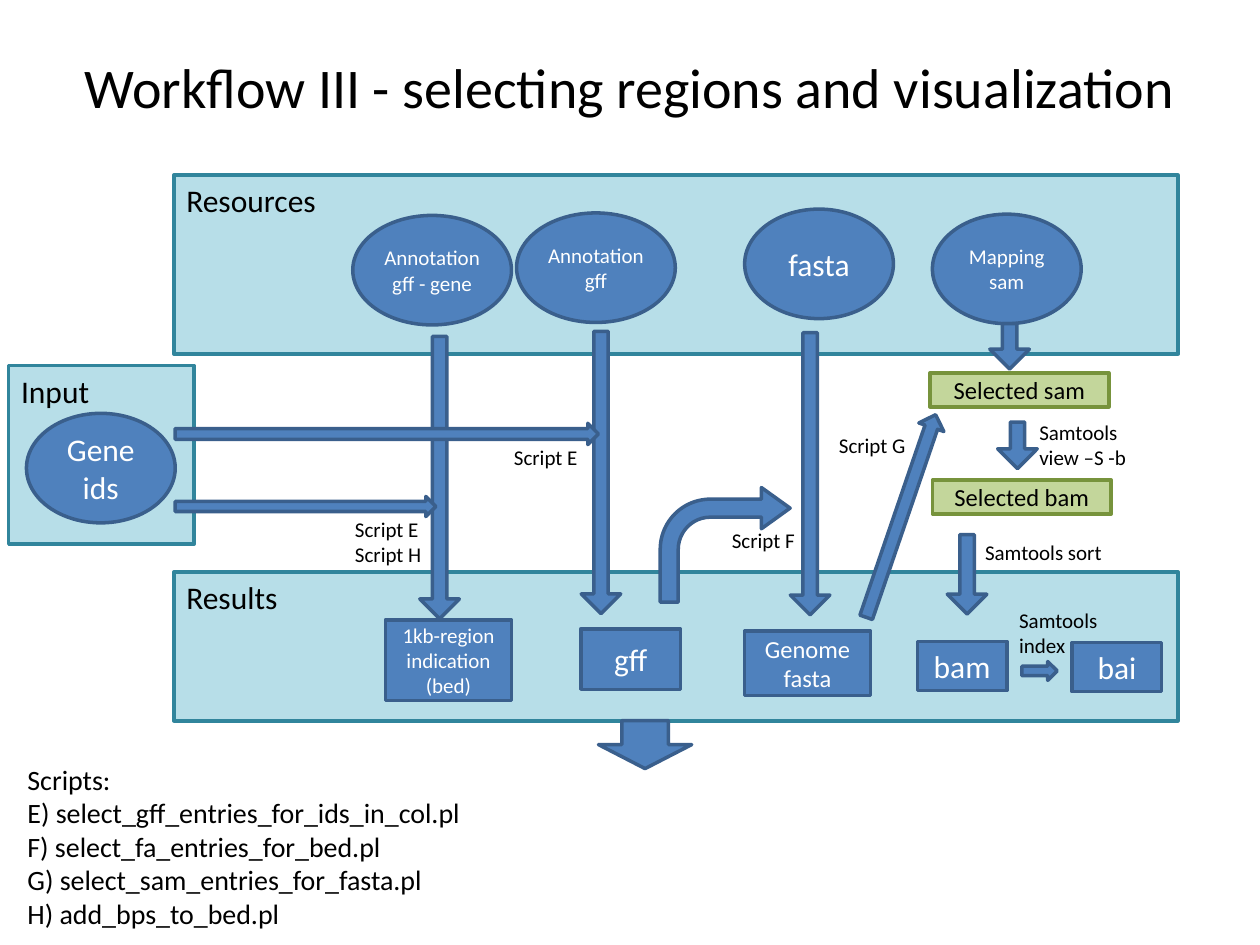
from pptx import Presentation
from pptx.dml.color import RGBColor
from pptx.enum.shapes import MSO_SHAPE
from pptx.enum.text import MSO_ANCHOR, PP_ALIGN
from pptx.util import Pt

BLACK = RGBColor(0, 0, 0)
WHITE = RGBColor(0xFF, 0xFF, 0xFF)
BLUE, BLUE_EDGE = RGBColor(0x4F, 0x81, 0xBD), RGBColor(0x3A, 0x5F, 0x8C)
AQUA, AQUA_EDGE = RGBColor(0xB7, 0xDE, 0xE8), RGBColor(0x31, 0x85, 0x9C)
GREEN, GREEN_EDGE = RGBColor(0xC3, 0xD6, 0x9B), RGBColor(0x77, 0x93, 0x3C)

OVAL, RECT = MSO_SHAPE.OVAL, MSO_SHAPE.RECTANGLE
RIGHT, DOWN = MSO_SHAPE.RIGHT_ARROW, MSO_SHAPE.DOWN_ARROW

TITLE = "Workflow III - selecting regions and visualization"

# Areas are (left, top, width, height) in points.
PANELS = [
    ("Input", (5, 208.8, 105.9, 102.2)),
    ("Results", (99.4, 326.9, 573.8, 85)),
    ("Resources", (99.4, 100.1, 573.8, 102.2)),
]

# text, shape, area, font size, inset at the sides
NODES = [
    ("Gene ids", OVAL, (15.1, 236.2, 85, 62.6), 18, 7.2),
    ("fasta", OVAL, (425.5, 119.5, 85, 62.6), 18, 7.2),
    ("Genome fasta", RECT, (425.5, 360.7, 72, 36.7), 14, 7.2),
    ("1kb-region indication (bed)", RECT, (220.3, 354.2, 72, 46.1), 12, 7.2),
    ("gff", RECT, (331.9, 359.3, 56.9, 34.6), 18, 7.2),
    ("Annotation gff", OVAL, (295.2, 121.7, 90.7, 62.6), 12, 3),
    ("Annotation gff - gene", OVAL, (201.6, 123.1, 90.7, 62.6), 12, 3),
    ("Mapping sam", OVAL, (532.8, 122.4, 85, 62.6), 12, 7.2),
    ("bam", RECT, (524.2, 366.5, 51.1, 28.1), 18, 7.2),
    ("bai", RECT, (612.7, 367.2, 51.1, 28.1), 18, 7.2),
]

SELECTED = [
    ("Selected sam", (531.4, 213.1, 102.2, 19.4)),
    ("Selected bam", (532.8, 274.3, 102.2, 19.4)),
]

# centre x, top, length of the arrows that point down
DROP_WIDTH = 22.6
DROPS = [
    (576.9, 185, 25.9),
    (581.4, 241.2, 26.6),
    (552.6, 305.5, 45.4),
    (343.4, 189.4, 161.3),
    (462.9, 190.1, 161.3),
    (251.2, 192.3, 161.3),
]

# shape, area, rotation, adjustments
ARROWS = [
    (DOWN, (342, 411.8, 53.3, 27.4), 0, []),
    (RIGHT, (583.9, 378, 20.2, 10.8), 0, []),
    (RIGHT, (100.1, 241.9, 241.9, 12.2), 0, []),
    (RIGHT, (100.1, 283.7, 149, 11.5), 0, []),
    (RIGHT, (453.6, 287.3, 122.4, 15.1), 288.9, []),
    (MSO_SHAPE.BENT_ARROW, (377.3, 278.6, 74.2, 65.5), 0, [0.157, 0.18, 0.25, 0.438]),
]

# lines, area, font size
LABELS = [
    (["Samtools", "view –S -b"], (586.8, 236.2, 64.8, 36), 12),
    (["Samtools sort"], (555.8, 304.6, 85, 21.6), 12),
    (["Samtools", "index"], (575.3, 343.4, 62.6, 36), 12),
    (["Script E"], (286.6, 250.6, 52.6, 21.6), 12),
    (["Script E", "Script H"], (195.8, 291.6, 52.6, 36), 12),
    (["Script F"], (411.1, 298.1, 51.8, 21.6), 12),
    (["Script G"], (472.3, 243.4, 53.3, 21.6), 12),
    (["Scripts:", "E) select_gff_entries_for_ids_in_col.pl",
      "F) select_fa_entries_for_bed.pl", "G) select_sam_entries_for_fasta.pl",
      "H) add_bps_to_bed.pl"], (8.6, 432, 265, 104.4), 16),
]


def write(box, lines, size, color, align, anchor, wrap=True, inset=7.2):
    frame = box.text_frame
    frame.word_wrap = wrap
    frame.vertical_anchor = anchor
    frame.margin_left = frame.margin_right = Pt(inset)
    frame.margin_top = frame.margin_bottom = Pt(min(inset, 3.6))
    for index, line in enumerate(lines):
        para = frame.paragraphs[0] if index == 0 else frame.add_paragraph()
        para.text = line
        para.alignment = align
        para.font.size = Pt(size)
        para.font.name = "Calibri"
        para.font.color.rgb = color


def add_outlined(page, kind, area, fill=BLUE, edge=BLUE_EDGE):
    box = page.shapes.add_shape(kind, *map(Pt, area))
    box.shadow.inherit = False
    box.fill.solid()
    box.fill.fore_color.rgb = fill
    box.line.color.rgb = edge
    box.line.width = Pt(2)
    return box


def add_arrow(page, kind, area, rotation, adjustments):
    arrow = add_outlined(page, kind, area)
    arrow.rotation = rotation
    for index, value in enumerate(adjustments):
        arrow.adjustments[index] = value


def add_label(page, lines, area, size, align=PP_ALIGN.LEFT,
              anchor=MSO_ANCHOR.TOP, wrap=False):
    box = page.shapes.add_textbox(*map(Pt, area))
    write(box, lines, size, BLACK, align, anchor, wrap)


def main():
    deck = Presentation()
    deck.slide_width, deck.slide_height = Pt(720), Pt(540)
    page = deck.slides.add_slide(deck.slide_layouts[6])

    for name, area in PANELS:
        panel = add_outlined(page, RECT, area, AQUA, AQUA_EDGE)
        write(panel, [name], 18, BLACK, PP_ALIGN.LEFT, MSO_ANCHOR.TOP)
    add_label(page, [TITLE], (36, 21.6, 648, 55.4), 32,
              PP_ALIGN.CENTER, MSO_ANCHOR.MIDDLE, True)

    for name, kind, area, size, inset in NODES:
        node = add_outlined(page, kind, area)
        write(node, [name], size, WHITE, PP_ALIGN.CENTER, MSO_ANCHOR.MIDDLE, inset=inset)
    for name, area in SELECTED:
        node = add_outlined(page, RECT, area, GREEN, GREEN_EDGE)
        write(node, [name], 14, BLACK, PP_ALIGN.CENTER, MSO_ANCHOR.MIDDLE)

    for center, top, length in DROPS:
        # A right arrow turned by 90 degrees about its centre.
        area = (center - length / 2, top + (length - DROP_WIDTH) / 2, length, DROP_WIDTH)
        add_arrow(page, RIGHT, area, 90, [0.365, 0.5])
    for arrow in ARROWS:
        add_arrow(page, *arrow)
    for label in LABELS:
        add_label(page, *label)

    deck.save("out.pptx")


if __name__ == "__main__":
    main()
